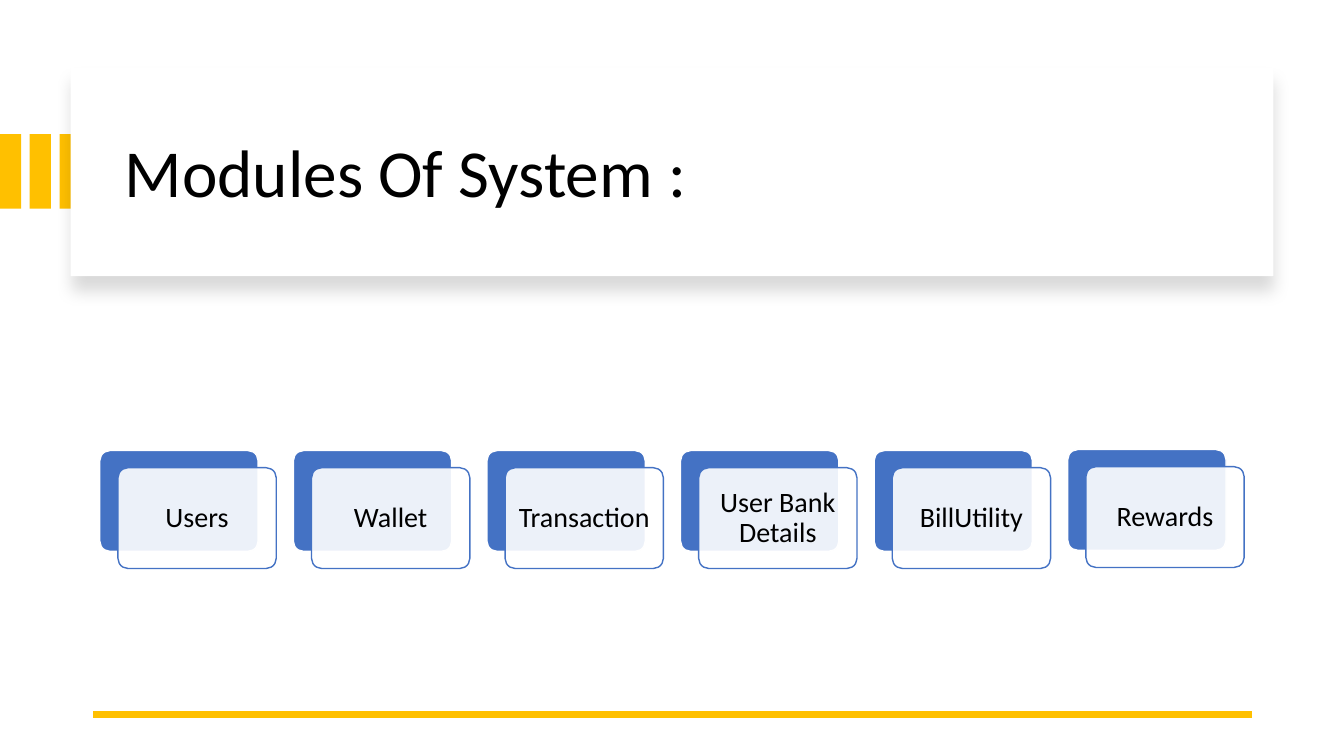
"""Build the slide that lists the modules of the system."""
from lxml import etree
from pptx import Presentation
from pptx import util as u
from pptx.dml.color import RGBColor
from pptx.enum import shapes, text
from pptx.oxml import ns

COLORS = {"gold": "FFC000", "blue": "4472C4", "white": "FFFFFF", "black": "000000"}
FONT = "Calibri"
MODULES = ["Users", "Wallet", "Transaction", "User Bank Details", "BillUtility", "Rewards"]


def rgb(name):
    """Return a named colour."""
    return RGBColor.from_string(COLORS[name])


def add_box(s, box, fill, line=None, kind=shapes.MSO_SHAPE.RECTANGLE):
    """Add a filled shape with an optional outline."""
    sp = s.shapes.add_shape(kind, *map(u.Inches, box))
    sp.shadow.inherit = False
    sp.fill.solid()
    sp.fill.fore_color.rgb = rgb(fill)
    if line:
        sp.line.color.rgb = rgb(line)
        sp.line.width = u.Pt(1)
    else:
        sp.line.fill.background()
    return sp


def add_rounded(s, box, fill, line):
    """Add a module rectangle with slightly rounded corners."""
    sp = add_box(s, box, fill, line, shapes.MSO_SHAPE.ROUNDED_RECTANGLE)
    sp.adjustments[0] = 0.1
    return sp


def set_alpha(color, percent):
    """Give a colour element an opacity in percent."""
    etree.SubElement(color, ns.qn("a:alpha"), val=str(percent * 1000))


def add_shadow(sp):
    """Give a shape a soft shadow that falls straight down."""
    effects = sp._element.spPr.find(ns.qn("a:effectLst"))
    shadow = etree.SubElement(
        effects, ns.qn("a:outerShdw"), blurRad=str(u.Pt(11)), dist=str(u.Pt(10)),
        dir=str(90 * 60000), algn="t", rotWithShape="0")
    set_alpha(etree.SubElement(shadow, ns.qn("a:srgbClr"), val=COLORS["black"]), 15)


def write(sp, words, size, align, after):
    """Write one vertically centred paragraph into a shape."""
    tf = sp.text_frame
    tf.word_wrap = True
    tf.vertical_anchor = text.MSO_ANCHOR.MIDDLE
    p = tf.paragraphs[0]
    p.text = words
    p.alignment = align
    p.line_spacing = 0.9
    p.space_after = u.Pt(after)
    p.font.name = FONT
    p.font.size = u.Pt(size)
    p.font.color.rgb = rgb("black")


def add_title(s, words):
    """Add the gold bars, the raised panel and the title."""
    for i in range(3):
        add_box(s, (i * 0.295, 1.33, 0.21, 0.74), "gold")
    add_shadow(add_box(s, (0.7, 0.67, 11.93, 2.07), "white"))
    sp = s.shapes.add_textbox(*map(u.Inches, (1.14, 0.89, 11.13, 1.7)))
    write(sp, words, 48, text.PP_ALIGN.LEFT, 6)


def add_rule(s):
    """Add the gold line at the foot of the slide."""
    ends = map(u.Inches, (12.42, 7.09, 0.92, 7.09))
    line = s.shapes.add_connector(shapes.MSO_CONNECTOR.STRAIGHT, *ends)
    line.line.color.rgb = rgb("gold")
    line.line.width = u.Pt(4.5)
    etree.SubElement(line._element.spPr, ns.qn("a:effectLst"))


def add_module(s, left, top, name):
    """Add a blue block with its translucent, labelled card."""
    add_rounded(s, (left, top, 1.57, 1), "blue", "white")
    card = add_rounded(s, (left + 0.18, top + 0.17, 1.57, 1), "white", "blue")
    set_alpha(card._element.spPr.find(ns.qn("a:solidFill"))[0], 90)
    tf = card.text_frame
    tf.margin_left = tf.margin_right = u.Inches(0.08)
    tf.margin_top = tf.margin_bottom = u.Inches(0.08)
    write(card, name, 20, text.PP_ALIGN.CENTER, 7)


def main():
    """Build and save the slide."""
    prs = Presentation()
    prs.slide_width, prs.slide_height = u.Inches(13.33), u.Inches(7.5)
    s = prs.slides.add_slide(prs.slide_layouts[6])
    add_title(s, "Modules Of System :")
    add_rule(s)
    for i, name in enumerate(MODULES):
        top = 4.46 if name == "Rewards" else 4.47
        add_module(s, 0.99 + i * 1.92, top, name)
    prs.save("out.pptx")


if __name__ == "__main__":
    main()
